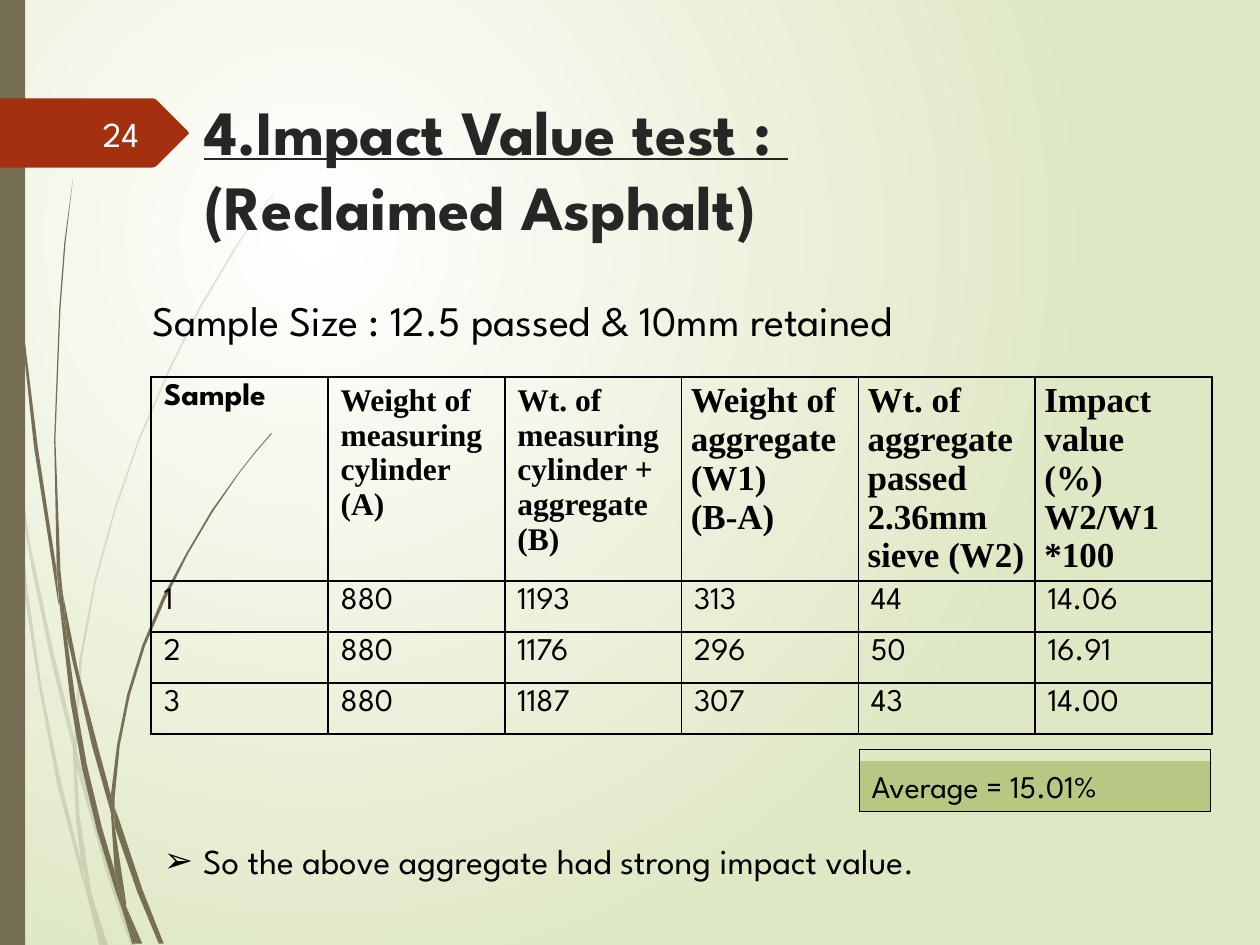
"""Build the impact value test slide."""
from typing import NamedTuple, Optional

from lxml.etree import SubElement
from pptx import Presentation
from pptx.dml.color import RGBColor
from pptx.enum.shapes import MSO_SHAPE
from pptx.enum.text import MSO_ANCHOR, MSO_AUTO_SIZE, PP_ALIGN
from pptx.oxml.ns import qn
from pptx.util import Pt

BLACK = RGBColor(0x00, 0x00, 0x00)
WHITE = RGBColor(0xFF, 0xFF, 0xFF)
OFF_WHITE = RGBColor(0xFE, 0xFF, 0xFF)
CHARCOAL = RGBColor(0x26, 0x26, 0x26)
OLIVE = RGBColor(0x76, 0x6F, 0x54)
RUST = RGBColor(0xA5, 0x30, 0x10)
LIGHT_GREEN = RGBColor(0xDF, 0xE8, 0xC4)
SAGE = RGBColor(0xB6, 0xC8, 0x82)
SANS = "League Spartan"
SERIF = "Times New Roman"
OUTLINE_UNIT = Pt(0.72)


class Box(NamedTuple):
    left: float
    top: float
    width: float
    height: float

    def lengths(self):
        return tuple(Pt(value) for value in self)


class Header(NamedTuple):
    lines: tuple
    size: float = 18
    font: str = SERIF
    narrow: bool = False


HEADERS = (
    Header(("Sample",), font=SANS),
    Header(("Weight of measuring cylinder", "(A)")),
    Header(("Wt. of measuring cylinder + aggregate", "(B)")),
    Header(("Weight of aggregate", "(W1)", "(B-A)"), 20, narrow=True),
    Header(("Wt. of aggregate passed 2.36mm sieve (W2)",), 20, narrow=True),
    Header(("Impact value", "(%)", "W2/W1 *100"), 20, narrow=True),
)
RESULTS = (
    ("1", "880", "1193", "313", "44", "14.06"),
    ("2", "880", "1176", "296", "50", "16.91"),
    ("3", "880", "1187", "307", "43", "14.00"),
)

PALE_WISPS = (
    ((8, 350), (6, 322), (0, 282), (0, 299), (7, 344)),
    ((40, 522), (59, 599), (59, 586), (43, 520), (25, 437), (10, 345), (12, 376), (25, 450)),
    ((64, 607), (61, 596), (61, 610), (85, 694), (104, 751), (108, 751), (88, 692)),
    ((83, 751), (86, 751), (73, 711)),
    ((64, 683), (48, 619), (33, 545), (22, 469), (12, 376), (8, 350), (19, 470),
     (31, 546), (45, 621), (64, 693), (70, 714), (69, 707)),
    ((58, 599), (60, 646), (64, 683), (67, 692), (73, 711), (72, 706), (63, 646),
     (61, 610), (61, 608)),
    ((61, 584), (65, 523), (76, 462), (92, 404), (111, 349), (134, 296), (159, 245),
     (187, 198), (201, 175), (217, 154), (217, 153), (201, 175), (186, 197), (158, 244),
     (133, 295), (110, 348), (91, 403), (75, 461), (63, 523), (59, 584), (59, 586), (61, 596)),
    ((70, 714), (79, 751), (82, 751)),
    ((61, 608), (61, 610), (61, 596), (59, 586), (58, 599)),
    ((67, 692), (65, 683), (69, 707), (70, 714), (82, 751), (83, 751), (73, 711)),
)
DARK_WISPS = (
    ((5, 110), (14, 233), (27, 355), (46, 477), (47, 481), (45, 457), (45, 453),
     (30, 355), (15, 232), (6, 109), (4, 48), (3, 0), (2, 0), (3, 48)),
    ((73, 592), (88, 645), (88, 633), (88, 631), (77, 590), (62, 532), (50, 472), (53, 505)),
    ((94, 649), (91, 641), (91, 656), (109, 708), (126, 749), (130, 749), (113, 706)),
    ((91, 691), (81, 657), (69, 607), (60, 556), (53, 505), (47, 477), (56, 557),
     (65, 609), (77, 659), (92, 708), (97, 722), (96, 717)),
    ((50, 472), (48, 453), (44, 349), (48, 245), (52, 193), (58, 141), (51, 193),
     (47, 245), (43, 349), (45, 449), (49, 472)),
    ((110, 749), (113, 749), (100, 719)),
    ((47, 477), (53, 505), (50, 472), (49, 472), (45, 449), (45, 453)),
    ((91, 633), (95, 592), (103, 552), (115, 513), (131, 476), (149, 440), (169, 406),
     (191, 374), (203, 359), (216, 344), (215, 344), (203, 358), (191, 373), (168, 405),
     (148, 439), (129, 474), (113, 512), (101, 551), (93, 591), (88, 631), (91, 641)),
    ((97, 722), (105, 749), (108, 749)),
    ((88, 645), (91, 691), (96, 706), (100, 719), (100, 716), (91, 656), (90, 651)),
    ((88, 645), (90, 651), (91, 656), (91, 641), (88, 631), (88, 633)),
    ((96, 706), (91, 691), (96, 717), (97, 722), (108, 749), (110, 749), (100, 719)),
)
NUMBER_TAG = ((149, 107), (124, 132), (121, 133), (0, 133), (0, 78), (121, 78),
              (124, 79), (149, 104), (149.5, 105.5))


def write(paragraph, text: str, *, size: float = 18, font: str = SANS,
          color: RGBColor = BLACK, bold: bool = False, underline: bool = False,
          align: PP_ALIGN = PP_ALIGN.LEFT) -> None:
    paragraph.alignment = align
    run = paragraph.add_run()
    run.text = text
    run.font.size = Pt(size)
    run.font.name = font
    run.font.color.rgb = color
    run.font.bold = bold
    run.font.underline = underline


def place(shape, box: Box) -> None:
    shape.left, shape.top, shape.width, shape.height = box.lengths()


def style(shape, fill: Optional[RGBColor], line: Optional[RGBColor] = None) -> None:
    shape.shadow.inherit = False
    if fill is None:
        shape.fill.background()
    else:
        shape.fill.solid()
        shape.fill.fore_color.rgb = fill
    if line is None:
        shape.line.fill.background()
    else:
        shape.line.color.rgb = line
        shape.line.width = Pt(0.75)


def add_outline(slide, points: tuple, color: RGBColor, opacity: int = 100) -> None:
    builder = slide.shapes.build_freeform(*points[0], scale=OUTLINE_UNIT)
    builder.add_line_segments(points[1:], close=True)
    shape = builder.convert_to_shape()
    style(shape, color)
    if opacity < 100:
        color_element = shape._element.spPr.find(f"{qn('a:solidFill')}/{qn('a:srgbClr')}")
        SubElement(color_element, qn("a:alpha"), val=str(opacity * 1000))


def add_rectangle(slide, box: Box, fill: Optional[RGBColor], line: Optional[RGBColor] = None):
    shape = slide.shapes.add_shape(MSO_SHAPE.RECTANGLE, *box.lengths())
    style(shape, fill, line)
    return shape


def add_text(slide, box: Box, text: str, anchor: MSO_ANCHOR = MSO_ANCHOR.TOP, **text_format) -> None:
    frame = slide.shapes.add_textbox(*box.lengths()).text_frame
    frame.word_wrap = True
    frame.vertical_anchor = anchor
    write(frame.paragraphs[0], text, **text_format)


def paint_background(slide) -> None:
    fill = slide.background.fill
    fill.gradient()
    for stop, color, position in zip(fill.gradient_stops, (WHITE, LIGHT_GREEN), (0, 1)):
        stop.color.rgb = color
        stop.position = position
    gradient = slide._element.find(f".//{qn('a:gradFill')}")
    gradient.remove(gradient.find(qn("a:lin")))
    circle = SubElement(gradient, qn("a:path"), path="circle")
    SubElement(circle, qn("a:fillToRect"), l="50000", t="50000", r="100000", b="100000")


def fill_cell(cell, lines: tuple, **text_format) -> None:
    frame = cell.text_frame
    for index, line in enumerate(lines):
        paragraph = frame.add_paragraph() if index else frame.paragraphs[0]
        write(paragraph, line, **text_format)
    properties = cell._tc.get_or_add_tcPr()
    for side in ("lnL", "lnR", "lnT", "lnB"):
        border = SubElement(properties, qn(f"a:{side}"), w=str(Pt(1)))
        SubElement(SubElement(border, qn("a:solidFill")), qn("a:srgbClr"), val=str(BLACK))
    cell.fill.background()


def add_results(slide) -> None:
    box = Box(86.4, 215.3, 606.24, 204.2)
    table = slide.shapes.add_table(len(RESULTS) + 1, len(HEADERS), *box.lengths()).table
    table.first_row = table.horz_banding = False
    for column in table.columns:
        column.width = Pt(box.width / len(HEADERS))
    for row, height in zip(table.rows, (116.6, 29.2, 29.2, 29.2)):
        row.height = Pt(height)
    for index, header in enumerate(HEADERS):
        cell = table.cell(0, index)
        if header.narrow:
            cell.margin_left = cell.margin_right = Pt(5.25)
            cell.margin_top = cell.margin_bottom = Pt(2.6)
        fill_cell(cell, header.lines, size=header.size, font=header.font, bold=True)
        for row_index, result in enumerate(RESULTS, 1):
            fill_cell(table.cell(row_index, index), (result[index],))


def fill_placeholders(slide) -> None:
    title, body = slide.shapes.title, slide.placeholders[1]
    for shape, box in ((title, Box(109.4, 49, 563, 100.8)), (body, Box(86.4, 475.9, 606.24, 31.7))):
        place(shape, box)
        shape.text_frame.vertical_anchor = MSO_ANCHOR.TOP
        shape.text_frame.auto_size = MSO_AUTO_SIZE.NONE
        slide.shapes._spTree.append(shape._element)
    heading = title.text_frame.paragraphs[0]
    write(heading, "4.Impact Value test : ", size=36, color=CHARCOAL, bold=True, underline=True)
    heading.add_line_break()
    write(heading, "(Reclaimed Asphalt)", size=36, color=CHARCOAL, bold=True)
    conclusion = body.text_frame.paragraphs[0]
    properties = conclusion._p.get_or_add_pPr()
    properties.set("marL", str(Pt(22.5)))
    properties.set("indent", str(-Pt(22.5)))
    SubElement(properties, qn("a:buChar"), char="➢")
    conclusion.space_before = Pt(0)
    write(conclusion, "So the above aggregate had strong impact value", size=20)
    write(conclusion, ".")


def main() -> None:
    presentation = Presentation()
    presentation.slide_width, presentation.slide_height = Pt(720), Pt(540)
    slide = presentation.slides.add_slide(presentation.slide_layouts[1])
    paint_background(slide)
    for wisps, opacity in ((PALE_WISPS, 20), (DARK_WISPS, 100)):
        for points in wisps:
            add_outline(slide, points, OLIVE, opacity)
    add_rectangle(slide, Box(0, 0, 14.4, 540), OLIVE)
    add_outline(slide, NUMBER_TAG, RUST)
    fill_placeholders(slide)
    add_results(slide)
    add_text(slide, Box(40.3, 61.9, 46.1, 28.8), "24", MSO_ANCHOR.MIDDLE,
             size=20, color=OFF_WHITE, align=PP_ALIGN.RIGHT)
    add_text(slide, Box(79.9, 164.9, 517.7, 36), "Sample Size : 12.5 passed & 10mm retained", size=24)
    average = add_rectangle(slide, Box(491, 434.9, 200.9, 28.8), SAGE)
    average.text_frame.vertical_anchor = MSO_ANCHOR.TOP
    write(average.text_frame.paragraphs[0], "Average = 15.01%")
    add_rectangle(slide, Box(491, 428.4, 200.9, 35.3), None, BLACK)
    presentation.save("out.pptx")


if __name__ == "__main__":
    main()
